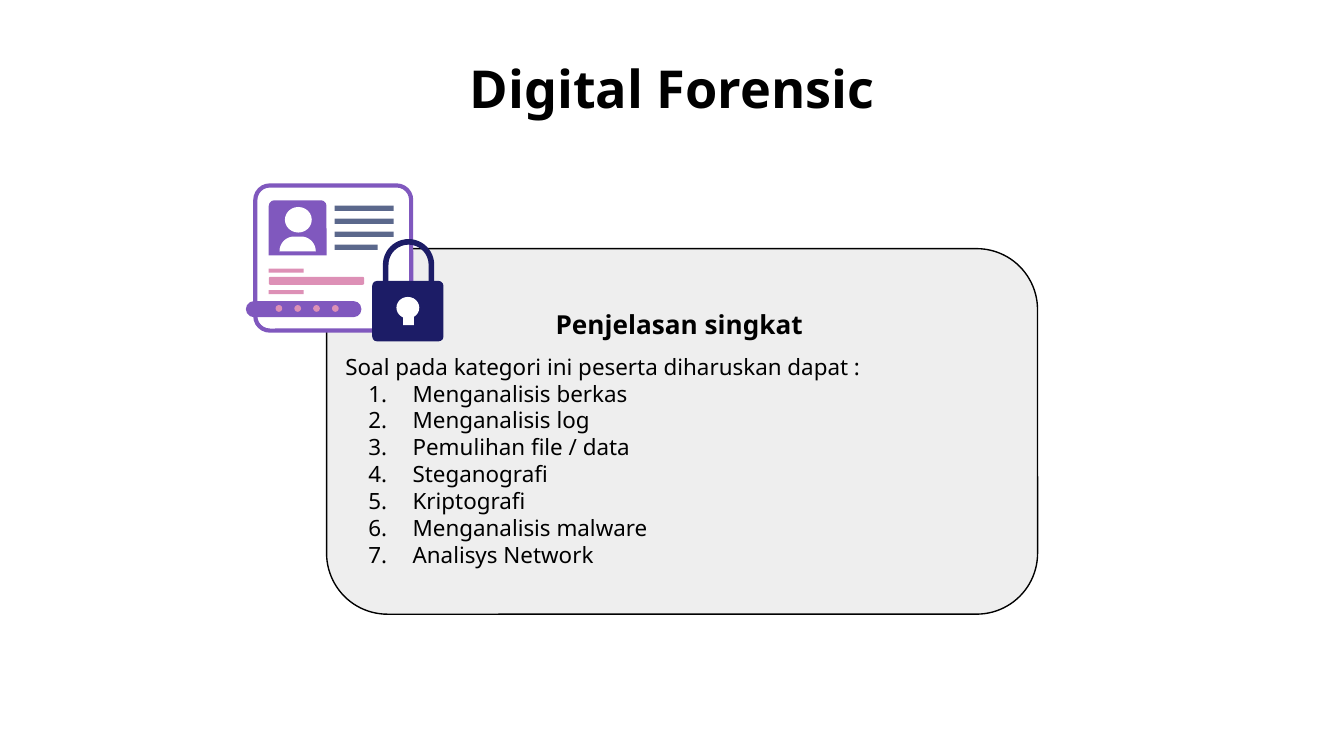
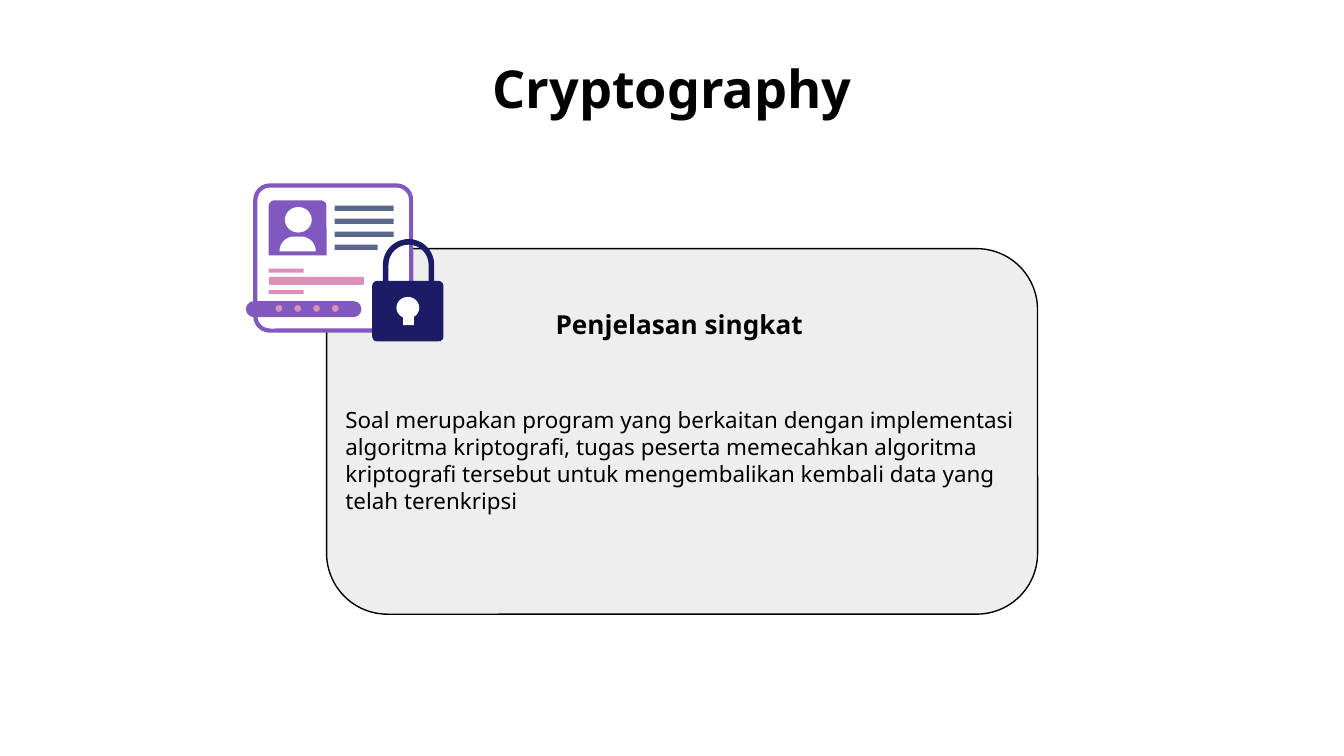
"""Build two slides that briefly explain the challenge categories."""
import math
from dataclasses import dataclass
from typing import Any

import pptx
import pptx.dml.color
import pptx.enum.shapes
import pptx.enum.text
import pptx.oxml.ns
import pptx.util
from lxml import etree

Inches = pptx.util.Inches
Pt = pptx.util.Pt
SHAPE = pptx.enum.shapes.MSO_SHAPE
ALIGN = pptx.enum.text.PP_ALIGN
ANCHOR = pptx.enum.text.MSO_ANCHOR

FONT = "Noto Sans"
BLACK, WHITE, GREY = "000000", "FFFFFF", "EEEEEE"
PURPLE, NAVY, SLATE, PINK = "8058BE", "1C1C66", "5B688C", "DD90B6"


@dataclass(frozen=True)
class Part:
    kind: Any
    box: tuple[float, float, float, float]
    fill: str | None
    adj: float | None = None
    line: str | None = None
    width: float = 0.75


@dataclass(frozen=True)
class Category:
    title: str
    intro: str
    rest: tuple[str, ...]
    numbered: bool


PANEL = Part(SHAPE.ROUNDED_RECTANGLE, (2.43, 1.85, 5.29, 2.72), GREY, 1 / 6, BLACK)
CARD = [
    Part(SHAPE.ROUNDED_RECTANGLE, (1.9, 1.38, 1.16, 1.08), WHITE, 0.1, PURPLE, 2.25),
    Part(SHAPE.ROUND_2_SAME_RECTANGLE, (2, 1.49, 0.43, 0.41), PURPLE, 0.1),
    Part(SHAPE.OVAL, (2.12, 1.54, 0.2, 0.19), WHITE),
]
PADLOCK = [
    Part(SHAPE.ROUNDED_RECTANGLE, (2.77, 2.09, 0.53, 0.45), NAVY, 0.08),
    Part(SHAPE.ROUND_2_SAME_RECTANGLE, (2.87, 1.8, 0.34, 0.43), None, 0.5, NAVY, 3),
    Part(SHAPE.OVAL, (2.95, 2.21, 0.17, 0.16), WHITE),
    Part(SHAPE.RECTANGLE, (3, 2.34, 0.08, 0.08), WHITE),
]
DETAILS = [
    *(Part(SHAPE.RECTANGLE, (2.49, 1.53 + 0.29 * i / 3, w, 0.04), SLATE)
      for i, w in enumerate((0.44, 0.44, 0.44, 0.32))),
    *(Part(SHAPE.RECTANGLE, (2, y, 0.26, 0.03), PINK) for y in (2, 2.16)),
    Part(SHAPE.ROUNDED_RECTANGLE, (2, 2.06, 0.71, 0.06), PINK, 0.2),
    Part(SHAPE.ROUNDED_RECTANGLE, (1.83, 2.24, 0.86, 0.12), PURPLE, 0.5),
    *(Part(SHAPE.OVAL, (2.05 + 0.14 * i, 2.27, 0.05, 0.05), PINK) for i in range(4)),
]

CATEGORIES = [
    Category(
        "Digital Forensic",
        "Soal pada kategori ini peserta diharuskan dapat :",
        ("Menganalisis berkas", "Menganalisis log", "Pemulihan file / data", "Steganografi",
         "Kriptografi", "Menganalisis malware", "Analisys Network"),
        True,
    ),
    Category(
        "Cryptography",
        "Soal merupakan program yang berkaitan dengan implementasi",
        ("algoritma kriptografi, tugas peserta memecahkan algoritma kriptografi tersebut "
         "untuk mengembalikan kembali data yang telah terenkripsi",),
        False,
    ),
]


def rgb(color: str) -> pptx.dml.color.RGBColor:
    return pptx.dml.color.RGBColor.from_string(color)


def assign(target: Any, values: dict[str, Any]) -> None:
    for name, value in values.items():
        setattr(target, name, value)


def paint(sp: Any, fill: str | None, line: str | None = None, width: float = 0.75) -> None:
    sp.shadow.inherit = False
    if fill:
        sp.fill.solid()
        sp.fill.fore_color.rgb = rgb(fill)
    else:
        sp.fill.background()
    if line:
        sp.line.color.rgb = rgb(line)
        sp.line.width = Pt(width)
    else:
        sp.line.fill.background()


def add_part(shapes: Any, part: Part) -> None:
    sp = shapes.add_shape(part.kind, *map(Inches, part.box))
    if part.adj is not None:
        sp.adjustments[0] = part.adj
    paint(sp, part.fill, part.line, part.width)


def add_shoulders(shapes: Any) -> None:
    radius, base = 0.11, 1.87
    points = [
        (Inches(cx + radius * math.cos(math.radians(a))),
         Inches(base - radius * math.sin(math.radians(a))))
        for cx, start in ((2.19, 180), (2.24, 90))
        for a in range(start, start - 91, -10)
    ]
    builder = shapes.build_freeform(*points[0])
    builder.add_line_segments(points[1:], close=True)
    paint(builder.convert_to_shape(), WHITE)


def add_icon(s: Any) -> None:
    shapes = s.shapes.add_group_shape().shapes
    for part in CARD:
        add_part(shapes, part)
    add_shoulders(shapes)
    for part in PADLOCK + DETAILS:
        add_part(shapes, part)


def set_frame(sp: Any, box: tuple[float, ...], insets: tuple[float, ...], anchor: Any) -> Any:
    assign(sp, dict(zip(("left", "top", "width", "height"), map(Inches, box))))
    tf = sp.text_frame
    margins = ("margin_left", "margin_top", "margin_right", "margin_bottom")
    assign(tf, dict(zip(margins, map(Inches, insets))))
    assign(tf, {"word_wrap": True, "auto_size": pptx.enum.text.MSO_AUTO_SIZE.NONE,
                "vertical_anchor": anchor})
    return tf


def write(p: Any, text: str, size: float, bold: bool, align: Any) -> None:
    p.alignment = align
    r = p.add_run()
    r.text = text
    assign(r.font, {"name": FONT, "size": Pt(size), "bold": bold})
    r.font.color.rgb = rgb(BLACK)


def set_bullet(p: Any, numbered: bool) -> None:
    qn = pptx.oxml.ns.qn
    ppr = p._p.get_or_add_pPr()
    ppr.set("marL", str(Inches(0.5 if numbered else 0)))
    ppr.set("indent", str(Inches(-0.33 if numbered else 0)))
    if numbered:
        color = etree.SubElement(ppr, qn("a:buClr"))
        etree.SubElement(color, qn("a:srgbClr"), val=BLACK)
        etree.SubElement(ppr, qn("a:buAutoNum"), type="arabicPeriod")
    else:
        etree.SubElement(ppr, qn("a:buNone"))


def add_category(prs: Any, category: Category) -> None:
    s = prs.slides.add_slide(prs.slide_layouts[1])
    body = s.placeholders[1]
    tf = set_frame(s.shapes.title, (0.5, 0.32, 9, 0.63), (0.1,) * 4, ANCHOR.TOP)
    write(tf.paragraphs[0], category.title, 28, True, ALIGN.CENTER)

    add_part(s.shapes, PANEL)
    add_icon(s)

    heading = s.shapes.add_textbox(0, 0, 0, 0)
    tf = set_frame(heading, (2.52, 1.98, 5.07, 0.86), (0, 0.1, 0, 0.1), ANCHOR.MIDDLE)
    write(tf.paragraphs[0], "Penjelasan singkat", 14, True, ALIGN.CENTER)

    s.shapes._spTree.append(body._element)
    tf = set_frame(body, (2.57, 2.84, 5.02, 1.36), (0, 0.1, 0, 0.29), ANCHOR.MIDDLE)
    for i, text in enumerate((category.intro, *category.rest)):
        p = tf.add_paragraph() if i else tf.paragraphs[0]
        write(p, text, 12, False, ALIGN.LEFT)
        assign(p, {"line_spacing": Pt(14.4), "space_before": Pt(0), "space_after": Pt(0)})
        set_bullet(p, category.numbered and i > 0)


def main() -> None:
    prs = pptx.Presentation()
    width = Inches(10)
    assign(prs, {"slide_width": width, "slide_height": width * 9 // 16})
    for category in CATEGORIES:
        add_category(prs, category)
    prs.save("out.pptx")


if __name__ == "__main__":
    main()
